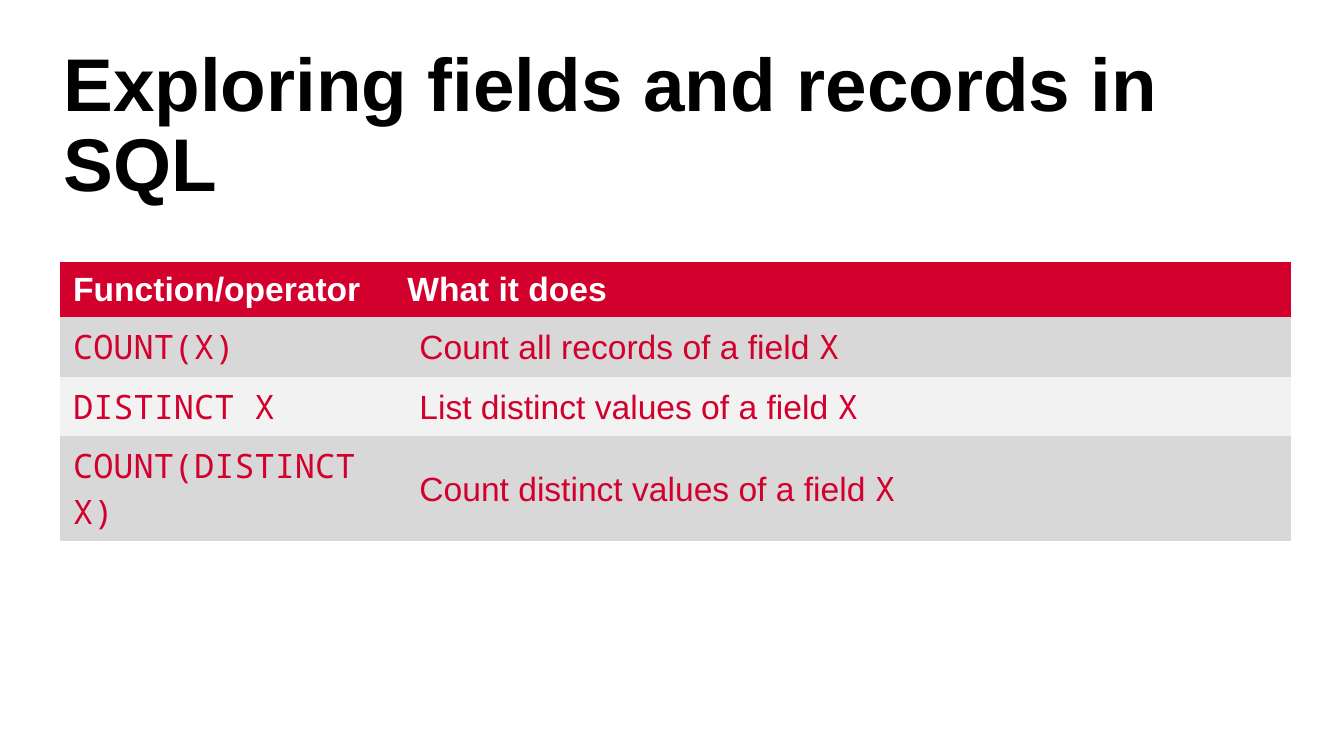
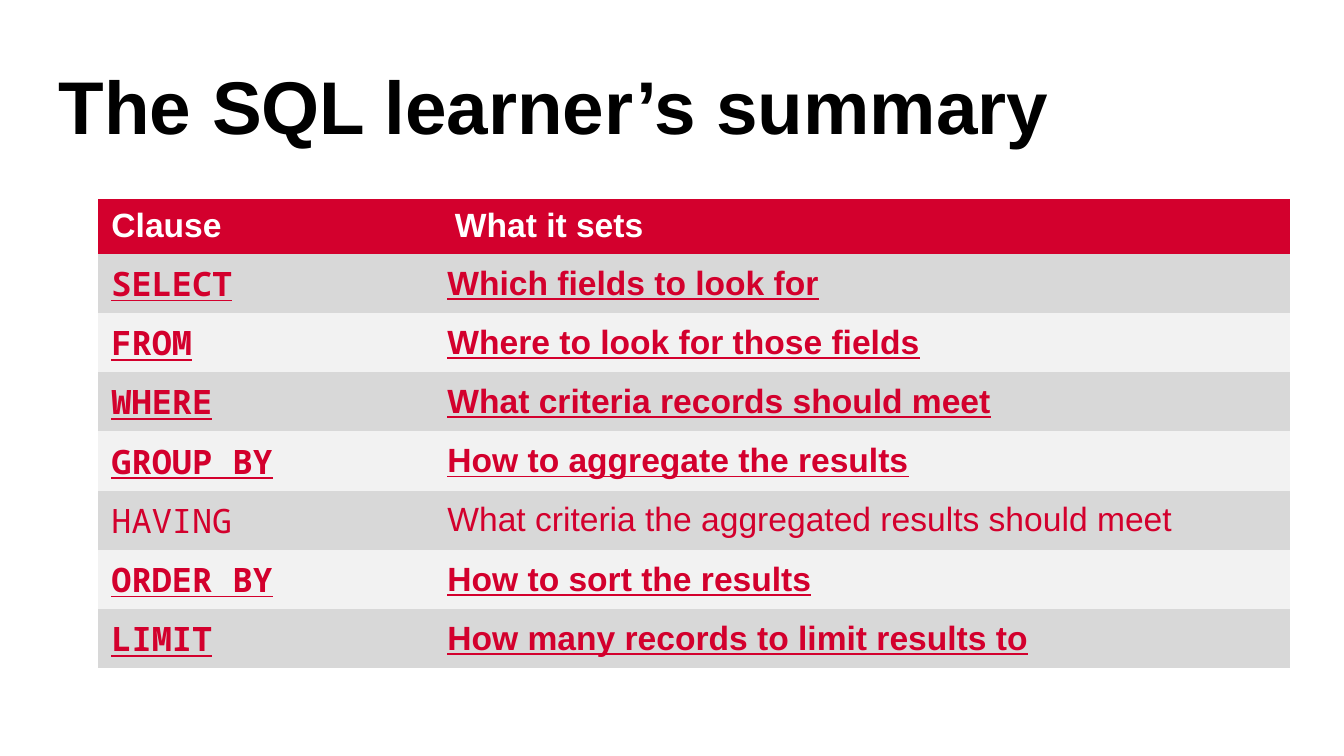
from lxml.etree import SubElement
from pptx import Presentation
from pptx.dml.color import RGBColor
from pptx.enum.text import MSO_ANCHOR, MSO_AUTO_SIZE, PP_ALIGN
from pptx.oxml.ns import qn
from pptx.util import Pt

COLORS = {
    "title": "000000",
    "red": "D3002D",
    "white": "FFFFFF",
    "dark_band": "D8D8D8",
    "light_band": "F2F2F2",
}
SANS = "Arial"
MONO = "Noto Sans Mono"
ROW_HEIGHT = 29.5
PLAIN_TABLE_STYLE = "{2D5ABB26-0587-4C30-8999-92F81FD0307C}"

FUNCTIONS = [
    ("COUNT(X)", "Count all records of a field ", "X"),
    ("DISTINCT X", "List distinct values of a field ", "X"),
    ("COUNT(DISTINCT X)", "Count distinct values of a field ", "X"),
]
CLAUSES = [
    ("SELECT", "Which fields to look for"),
    ("FROM", "Where to look for those fields"),
    ("WHERE", "What criteria records should meet"),
    ("GROUP BY", "How to aggregate the results"),
    ("HAVING", "What criteria the aggregated results should meet"),
    ("ORDER BY", "How to sort the results"),
    ("LIMIT", "How many records to limit results to"),
]
PLAIN_CLAUSES = {"HAVING"}


def format_span(span, font, size, color, bold=False, underline=False):
    span.font.name = font
    span.font.size = Pt(size)
    span.font.color.rgb = RGBColor.from_string(COLORS[color])
    span.font.bold = bold
    span.font.underline = underline


def add_title(page, text, left, top):
    title = page.shapes.title
    title.left, title.top = Pt(left), Pt(top)
    title.width, title.height = Pt(645), Pt(53.5)
    frame = title.text_frame
    frame.text = text
    frame.word_wrap = True
    frame.auto_size = MSO_AUTO_SIZE.NONE
    frame.vertical_anchor = MSO_ANCHOR.BOTTOM
    frame.margin_left = frame.margin_right = 0
    frame.margin_top = frame.margin_bottom = 0
    paragraph = frame.paragraphs[0]
    paragraph.alignment = PP_ALIGN.LEFT
    paragraph.line_spacing = 0.9
    format_span(paragraph.runs[0], SANS, 40, "title", bold=True)


def fill_cell(cell, color):
    cell.fill.solid()
    cell.fill.fore_color.rgb = RGBColor.from_string(COLORS[color])
    cell.vertical_anchor = MSO_ANCHOR.MIDDLE


def write_cell(cell, pieces, color="red", bold=False, underline=False):
    paragraph = cell.text_frame.paragraphs[0]
    for text, font in pieces:
        span = paragraph.add_run()
        span.text = text
        format_span(span, font, 18, color, bold, underline)


def add_header(table, headings, tab):
    for cell in table.rows[0].cells:
        fill_cell(cell, "red")
    header = table.cell(0, 0)
    header.merge(table.cell(0, 1))
    properties = header.text_frame.paragraphs[0]._p.get_or_add_pPr()
    stops = SubElement(properties, qn("a:tabLst"))
    SubElement(stops, qn("a:tab"), pos=str(Pt(tab)), algn="l")
    write_cell(header, [("\t".join(headings), SANS)], "white", bold=True)


def add_reference_table(page, left, top, widths, headings, tab, entries, plain=None):
    count = len(entries) + 1
    frame = page.shapes.add_table(
        count, 2, Pt(left), Pt(top), Pt(sum(widths)), Pt(count * ROW_HEIGHT)
    )
    table = frame.table
    table._tbl.tblPr.find(qn("a:tableStyleId")).text = PLAIN_TABLE_STYLE
    for column, width in zip(table.columns, widths):
        column.width = Pt(width)
    for row in table.rows:
        row.height = Pt(ROW_HEIGHT)
    add_header(table, headings, tab)
    for index, (code, meaning, *field) in enumerate(entries, start=1):
        strong = plain is not None and code not in plain
        contents = (
            [(code, MONO)],
            [(meaning, SANS)] + [(name, MONO) for name in field],
        )
        for cell, pieces in zip(table.rows[index].cells, contents):
            fill_cell(cell, "dark_band" if index % 2 else "light_band")
            write_cell(cell, pieces, bold=strong, underline=strong)


def main():
    deck = Presentation()
    deck.slide_width, deck.slide_height = Pt(720), Pt(405)
    layout = deck.slide_layouts[5]

    page = deck.slides.add_slide(layout)
    add_title(page, "Exploring fields and records in SQL", 34, 58)
    add_reference_table(
        page, 32, 140.5, (185.5, 474),
        ("Function/operator", "What it does"), 179, FUNCTIONS,
    )

    page = deck.slides.add_slide(layout)
    add_title(page, "The SQL learner’s summary", 31.5, 27)
    add_reference_table(
        page, 52.5, 106.5, (180, 458.5),
        ("Clause", "What it sets"), 184, CLAUSES, PLAIN_CLAUSES,
    )

    deck.save("out.pptx")


if __name__ == "__main__":
    main()
